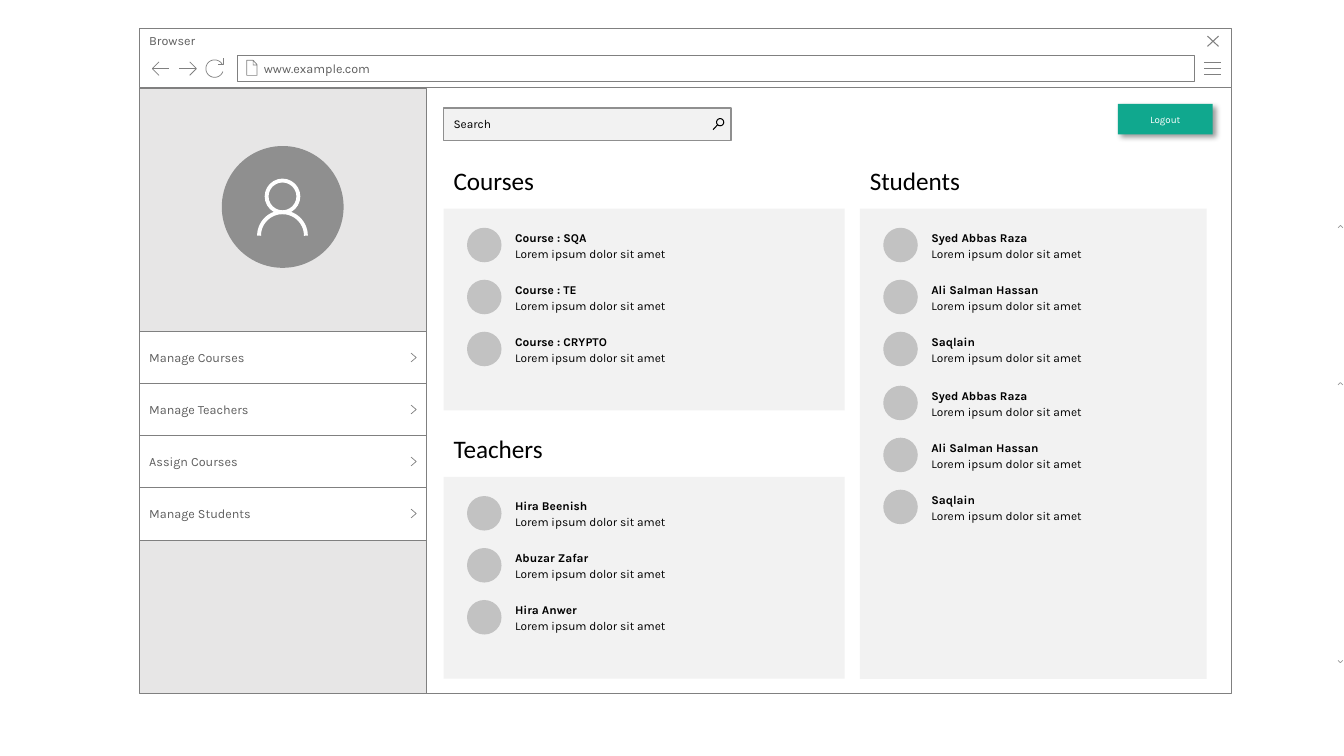
from math import cos, radians, sin

from lxml.etree import SubElement
from pptx import Presentation
from pptx.dml.color import RGBColor
from pptx.enum.shapes import MSO_SHAPE
from pptx.enum.text import MSO_ANCHOR, PP_ALIGN
from pptx.oxml.ns import qn
from pptx.util import Cm, Pt

GRAY, LABEL, PANEL = "808080", "5F5F5F", "F2F2F2"
LOREM = "Lorem ipsum dolor sit amet"
PEOPLE = ["Syed Abbas Raza", "Ali Salman Hassan", "Saqlain"]


def rgb(color):
    """Turn a hex string into a colour."""
    return RGBColor.from_string(color)


def paint(sp, fill=None, line=None, width=0.5):
    """Set fill and outline, and remove the shadow."""
    sp.shadow.inherit = False
    for part, color in ((sp.fill, fill), (sp.line.fill, line)):
        if color:
            part.solid()
            part.fore_color.rgb = rgb(color)
        else:
            part.background()
    if line:
        sp.line.width = Pt(width)


def write(sp, lines, size, color="000000", font="Karla", bolds=(False,),
          inset=(0.25, 0.13, 0.25, 0.13), anchor=MSO_ANCHOR.MIDDLE,
          align=PP_ALIGN.LEFT, spacing=1.0):
    """Write one paragraph per line into a shape."""
    tf = sp.text_frame
    left, top, right, bottom = map(Cm, inset)
    frame = {"word_wrap": True, "vertical_anchor": anchor, "margin_left": left,
             "margin_top": top, "margin_right": right, "margin_bottom": bottom}
    for name, value in frame.items():
        setattr(tf, name, value)
    for i, (text, bold) in enumerate(zip(lines, bolds)):
        p = tf.add_paragraph() if i else tf.paragraphs[0]
        p.alignment, p.line_spacing = align, spacing
        r = p.add_run()
        r.text = text
        for name, value in {"name": font, "size": Pt(size), "bold": bold}.items():
            setattr(r.font, name, value)
        r.font.color.rgb = rgb(color)


def box(s, x, y, w, h, fill, line=None, width=0.5, kind=MSO_SHAPE.RECTANGLE):
    """Add a painted preset shape."""
    sp = s.shapes.add_shape(kind, Cm(x), Cm(y), Cm(w), Cm(h))
    paint(sp, fill, line, width)
    return sp


def circle(s, x, y, d, fill, line=None, width=0.5):
    """Add a circle by its top left corner and diameter."""
    return box(s, x, y, d, d, fill, line, width, MSO_SHAPE.OVAL)


def strokes(s, *paths, color=GRAY, width=0.5):
    """Draw one icon from open polylines."""
    fb = None
    for path in paths:
        start, *rest = [(Cm(x), Cm(y)) for x, y in path]
        if fb is None:
            fb = s.shapes.build_freeform(*start)
        else:
            fb.move_to(*start)
        fb.add_line_segments(rest, close=False)
    paint(fb.convert_to_shape(), line=color, width=width)


def arc(cx, cy, radius, start, end):
    """Return points along an arc, clockwise in degrees."""
    angles = [radians(start + (end - start) * i / 36) for i in range(37)]
    return [(cx + radius * cos(a), cy + radius * sin(a)) for a in angles]


def drop_shadow(sp):
    """Give a shape a soft shadow to the lower right."""
    effects = sp._element.spPr.find(qn("a:effectLst"))
    shadow = SubElement(effects, qn("a:outerShdw"), blurRad=str(Pt(4)), dist=str(Pt(3)),
                        dir="2700000", algn="tl", rotWithShape="0")
    color = SubElement(shadow, qn("a:srgbClr"), val="000000")
    SubElement(color, qn("a:alpha"), val="40000")


def browser(s):
    """Draw the browser window with its toolbar."""
    box(s, 3.51, 2.18, 27.53, 15.29, "FFFFFF", GRAY)
    bar = box(s, 3.51, 0.71, 27.53, 1.5, "FFFFFF", GRAY)
    write(bar, ["Browser"], 9, LABEL, anchor=MSO_ANCHOR.TOP)
    strokes(s, *[[(30.35, y), (30.78, y)] for y in (1.57, 1.73, 1.88)])
    strokes(s, [(30.43, 0.91), (30.71, 1.17)], [(30.71, 0.91), (30.43, 1.17)], width=0.75)
    address = box(s, 5.99, 1.4, 24.1, 0.66, "FFFFFF", GRAY)
    write(address, ["www.example.com"], 9, LABEL, inset=(0.66, 0.13, 0.25, 0.13))
    strokes(s, [(6.38, 1.52), (6.22, 1.52), (6.22, 1.9), (6.48, 1.9), (6.48, 1.63),
                (6.38, 1.52), (6.38, 1.64), (6.48, 1.64)])
    for tip, head, tail in ((3.84, 4.01, 4.27), (4.95, 4.78, 4.52)):
        strokes(s, [(head, 1.56), (tip, 1.73), (head, 1.9)], [(tip, 1.73), (tail, 1.73)])
    strokes(s, [(5.64, 1.47), (5.64, 1.63), (5.49, 1.63)], arc(5.41, 1.73, 0.22, 20, 330))


def sidebar(s, items):
    """Draw the profile area and the menu below it."""
    box(s, 3.51, 2.24, 7.24, 15.24, "E7E6E6", GRAY)
    circle(s, 5.59, 3.68, 3.07, "8F8F8F")
    circle(s, 6.72, 4.55, 0.8, None, "FFFFFF", 2.75)
    strokes(s, arc(7.12, 5.94, 0.59, 180, 360), color="FFFFFF", width=2.75)
    for i, item in enumerate(items):
        y = 8.36 + i * 1.31
        write(box(s, 3.51, y, 7.24, 1.32, "FFFFFF", GRAY), [item], 9, LABEL)
        strokes(s, [(10.36, y + 0.54), (10.49, y + 0.65), (10.36, y + 0.76)])


def search_and_logout(s):
    """Draw the search field and the logout button."""
    field = box(s, 11.18, 2.72, 7.24, 0.82, PANEL, "8F8F8F", 1)
    write(field, ["Search"], 8.5)
    strokes(s, arc(18.15, 3.08, 0.09, 0, 360), [(18.09, 3.14), (17.97, 3.27)],
            color="000000", width=0.75)
    button = box(s, 28.17, 2.62, 2.39, 0.77, "10A88E")
    drop_shadow(button)
    write(button, ["Logout"], 7, "FFFFFF", inset=(0, 0, 0, 0), align=PP_ALIGN.CENTER)


def list_panel(s, title, x, y, w, h, names):
    """Draw a titled panel with an entry per name, in blocks of three."""
    box(s, x, y, w, h, PANEL)
    heading = s.shapes.add_textbox(Cm(x), Cm(y - 1.22), Cm(10.52), Cm(1.02))
    write(heading, [title], 18, font="Calibri", anchor=MSO_ANCHOR.TOP)
    for i, name in enumerate(names):
        block, row = divmod(i, 3)
        top = y + 0.48 + block * 3.98 + row * 1.31
        circle(s, x + 0.59, top, 0.87, "C2C2C2")
        entry = s.shapes.add_textbox(Cm(x + 1.47), Cm(top), Cm(5.16), Cm(0.87))
        write(entry, [name, LOREM], 8.5, bolds=(True, False),
              inset=(0.33, 0.13, 0.15, 0.13), spacing=1.1)


def scroll_marks(s):
    """Draw the small carets at the right edge."""
    for tip, base in ((5.68, 5.74), (9.64, 9.7), (16.7, 16.64)):
        strokes(s, [(33.72, base), (33.78, tip), (33.84, base)], color="999999")


def main():
    """Build the dashboard slide and save it."""
    prs = Presentation()
    prs.slide_width, prs.slide_height = Cm(33.87), Cm(19.05)
    s = prs.slides.add_slide(prs.slide_layouts[6])
    browser(s)
    sidebar(s, ["Manage Courses", "Manage Teachers", "Assign Courses", "Manage Students"])
    search_and_logout(s)
    list_panel(s, "Courses", 11.18, 5.26, 10.11, 5.08,
               ["Course : SQA", "Course : TE", "Course : CRYPTO"])
    list_panel(s, "Teachers", 11.18, 12.02, 10.11, 5.08,
               ["Hira Beenish", "Abuzar Zafar", "Hira Anwer"])
    list_panel(s, "Students", 21.67, 5.26, 8.74, 11.85, PEOPLE * 2)
    scroll_marks(s)
    prs.save("out.pptx")


if __name__ == "__main__":
    main()
